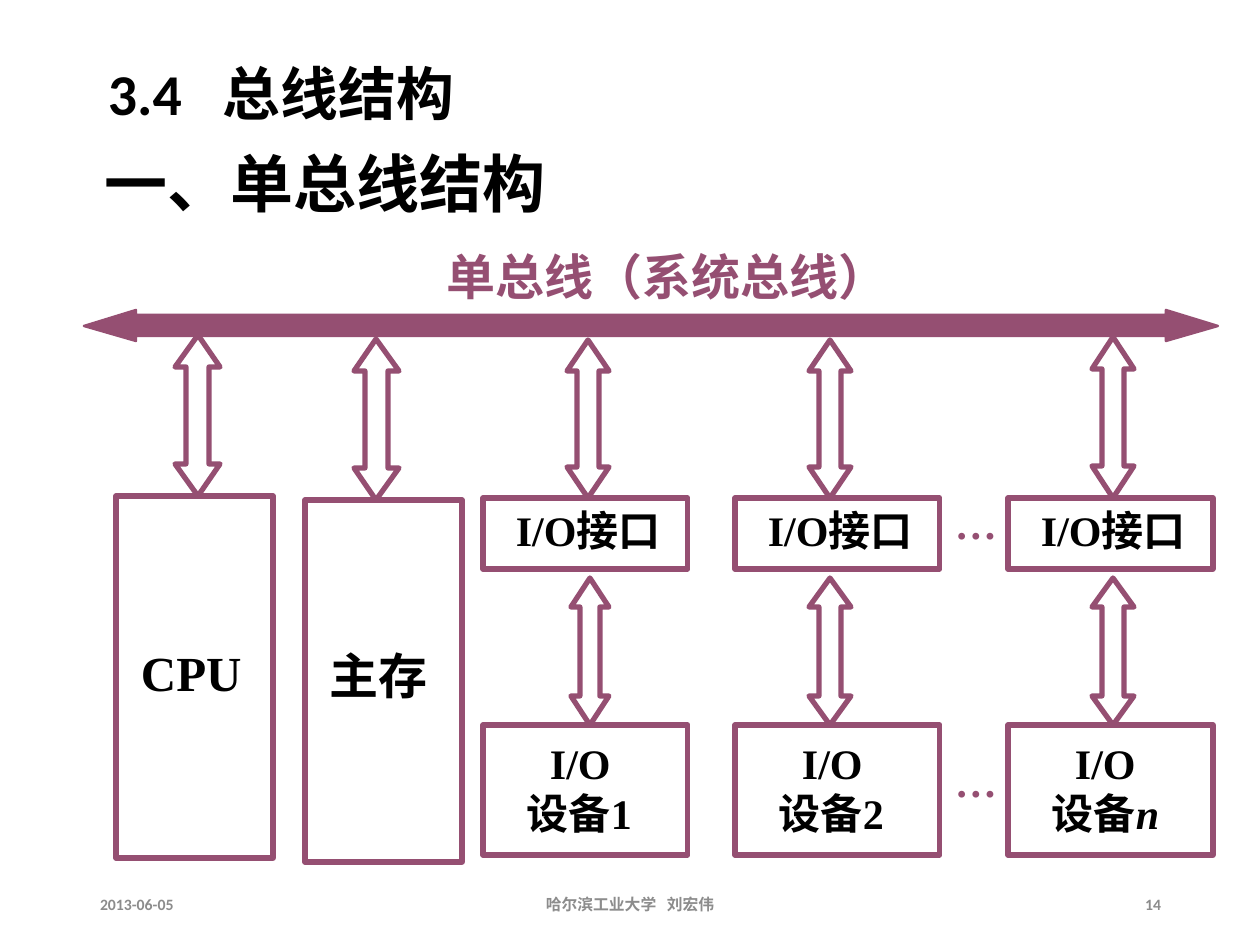
from pptx import Presentation
from pptx.dml.color import RGBColor
from pptx.enum.shapes import MSO_SHAPE
from pptx.enum.text import MSO_ANCHOR, PP_ALIGN
from pptx.oxml.ns import qn
from pptx.util import Pt

PX = 7257  # EMU in one px, 126 px to the inch
RECTANGLE = MSO_SHAPE.RECTANGLE
TOP, MIDDLE = MSO_ANCHOR.TOP, MSO_ANCHOR.MIDDLE
LEFT, CENTER, RIGHT = PP_ALIGN.LEFT, PP_ALIGN.CENTER, PP_ALIGN.RIGHT
PLUM, BLACK, GRAY = "954F72", "000000", "8C8C8C"
SERIF, SANS, CJK = "Times New Roman", "Calibri", "Noto Sans CJK SC"

deck = Presentation()
deck.slide_width, deck.slide_height = 1260 * PX, 945 * PX
page = deck.slides.add_slide(deck.slide_layouts[6])


def write_text(box, *lines, font=SERIF, size=24, color=BLACK, bold=True,
               align=LEFT, anchor=TOP, inset=(13, 6), wrap=True,
               first_indent=0, gap=0, italic=None):
    """Write lines of spans; a lone space is widened by gap points."""
    frame = box.text_frame
    frame.word_wrap = wrap
    frame.vertical_anchor = anchor
    frame.margin_left, frame.margin_top = inset[0] * PX, inset[1] * PX
    frame.margin_right, frame.margin_bottom = min(inset[0], 13) * PX, 0
    for number, spans in enumerate(lines):
        para = frame.add_paragraph() if number else frame.paragraphs[0]
        para.alignment = align
        if first_indent and number == 0:
            para._p.get_or_add_pPr().set("indent", str(first_indent * PX))
        for text in spans:
            span = para.add_run()
            span.text = text
            span.font.name, span.font.size = font, Pt(size)
            span.font.bold = bold
            span.font.color.rgb = RGBColor.from_string(color)
            if text == italic:
                span.font.italic = True
            properties = span._r.get_or_add_rPr()
            east_asian = properties.makeelement(qn("a:ea"), {"typeface": CJK})
            properties.find(qn("a:latin")).addnext(east_asian)
            if text == " " and gap:
                properties.set("spc", str(gap * 100))


def double_arrow(left, top, width, height, head, notch, horizontal=False):
    """Draw a two-headed block arrow, its shaft set in by notch on each side."""
    length, breadth = (width, height) if horizontal else (height, width)
    middle = breadth / 2
    side = [(0, middle), (head, breadth), (head, breadth - notch),
            (length - head, breadth - notch), (length - head, breadth),
            (length, middle)]
    points = side + [(along, breadth - across) for along, across in side[-2:0:-1]]
    if not horizontal:
        points = [(across, along) for along, across in points]
    points = [(left + x, top + y) for x, y in points]
    builder = page.shapes.build_freeform(*points[0], scale=PX)
    builder.add_line_segments(points[1:], close=True)
    arrow = builder.convert_to_shape()
    arrow.shadow.inherit = False
    arrow.line.color.rgb = RGBColor.from_string(PLUM)
    arrow.line.width = Pt(3)
    arrow.fill.background()
    return arrow


# Headings, bus caption, ellipses and footer
footer = dict(font=SANS, size=9, color=GRAY, anchor=MIDDLE)
dots = dict(color=PLUM, inset=(0, 0))
for (left, top, width, height), spans, style in [
    ((95, 10, 1071, 158), ["3.4", " ", "总线结构"],
     dict(font=SANS, size=33, anchor=MIDDLE, gap=16)),
    ((92, 139, 633, 88), ["一、单总线结构"], dict(size=36)),
    ((447, 246, 444, 59), ["单总线（系统总线）"],
     dict(font=CJK, size=28, color=PLUM, inset=(0, 0), wrap=False)),
    ((955, 498, 53, 50), ["…"], dots),
    ((955, 756, 53, 50), ["…"], dots),
    ((87, 876, 284, 50), ["2013-06-05"], footer),
    ((417, 876, 426, 50), ["哈尔滨工业大学", " ", "刘宏伟"],
     dict(footer, align=CENTER, gap=4)),
    ((890, 876, 284, 50), ["14"], dict(footer, align=RIGHT)),
]:
    box = page.shapes.add_textbox(left * PX, top * PX, width * PX, height * PX)
    write_text(box, spans, **style)

# System bus
bus = double_arrow(84, 310, 1134, 31, head=52, notch=5, horizontal=True)
bus.fill.solid()
bus.fill.fore_color.rgb = RGBColor.from_string(PLUM)
bus.line.width = Pt(1.38)

# CPU, main memory, and the I/O interfaces with their devices
tall = dict(size=28, inset=(25, 146))
blocks = [((116, 496, 157, 362), [["CPU"]], tall),
          ((305, 500, 157, 362), [["主存"]], tall)]
for left, label in [(483, "1"), (735, "2"), (1008, "n")]:
    blocks += [
        ((left, 498, 205, 71), [["I/O接口"]], dict(inset=(33, 6))),
        ((left, 725, 205, 130), [["I/O"], ["设备", label]],
         dict(inset=(44, 12), first_indent=23, italic="n")),
    ]
for (left, top, width, height), lines, style in blocks:
    block = page.shapes.add_shape(RECTANGLE, left * PX, top * PX,
                                  width * PX, height * PX)
    block.shadow.inherit = False
    block.fill.background()
    block.line.color.rgb = RGBColor.from_string(PLUM)
    block.line.width = Pt(3)
    write_text(block, *lines, **style)

# Arrows from the bus to each block, then from interface to device
for left, top, width, height in [
    (175, 335, 45, 161), (354, 339, 45, 161),
    (567, 340, 42, 158), (809, 340, 42, 158), (1092, 337, 42, 161),
    (571, 578, 38, 147), (809, 578, 42, 147), (1092, 578, 42, 147),
]:
    double_arrow(left, top, width, height, head=height // 5, notch=width // 4)

deck.save("out.pptx")
